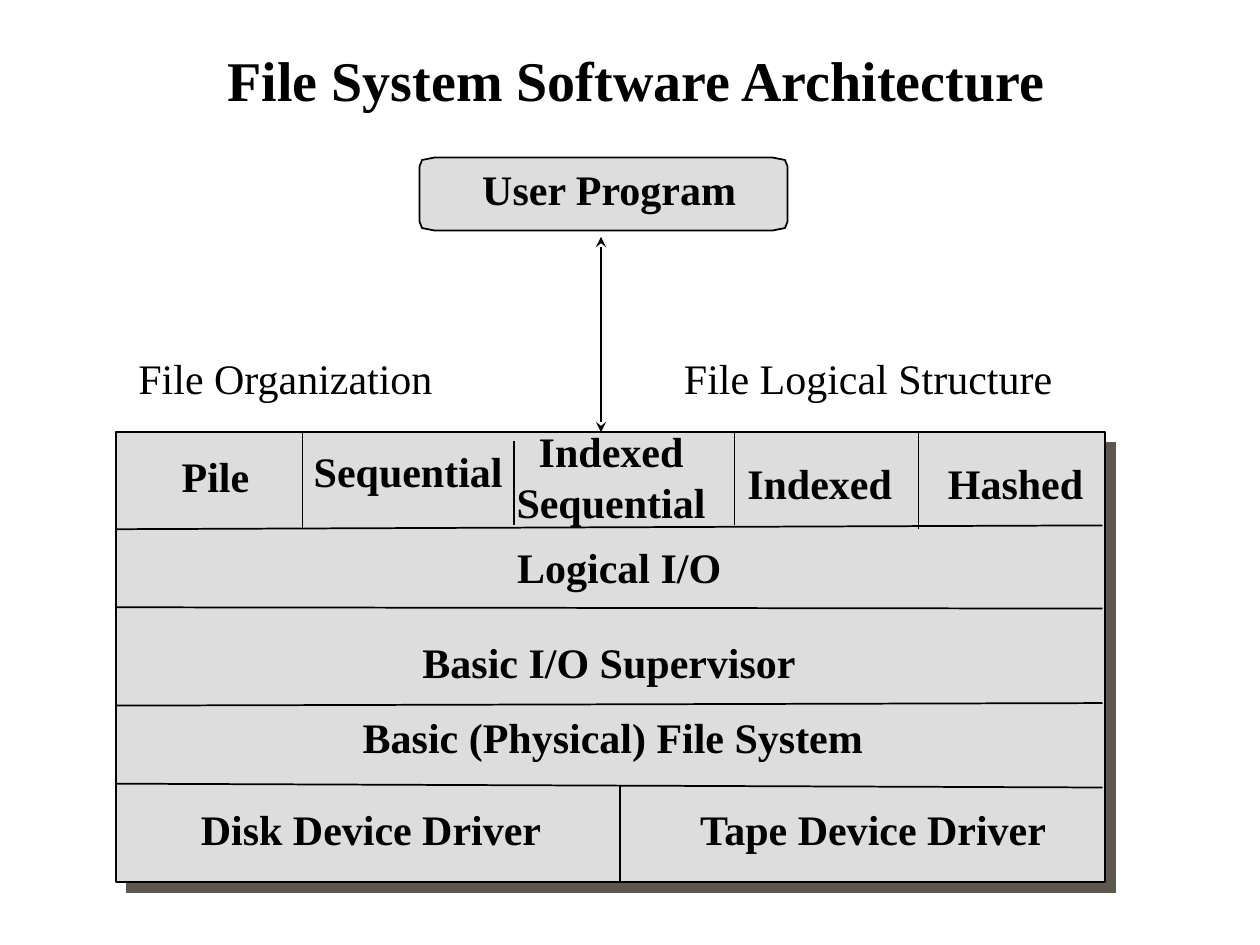
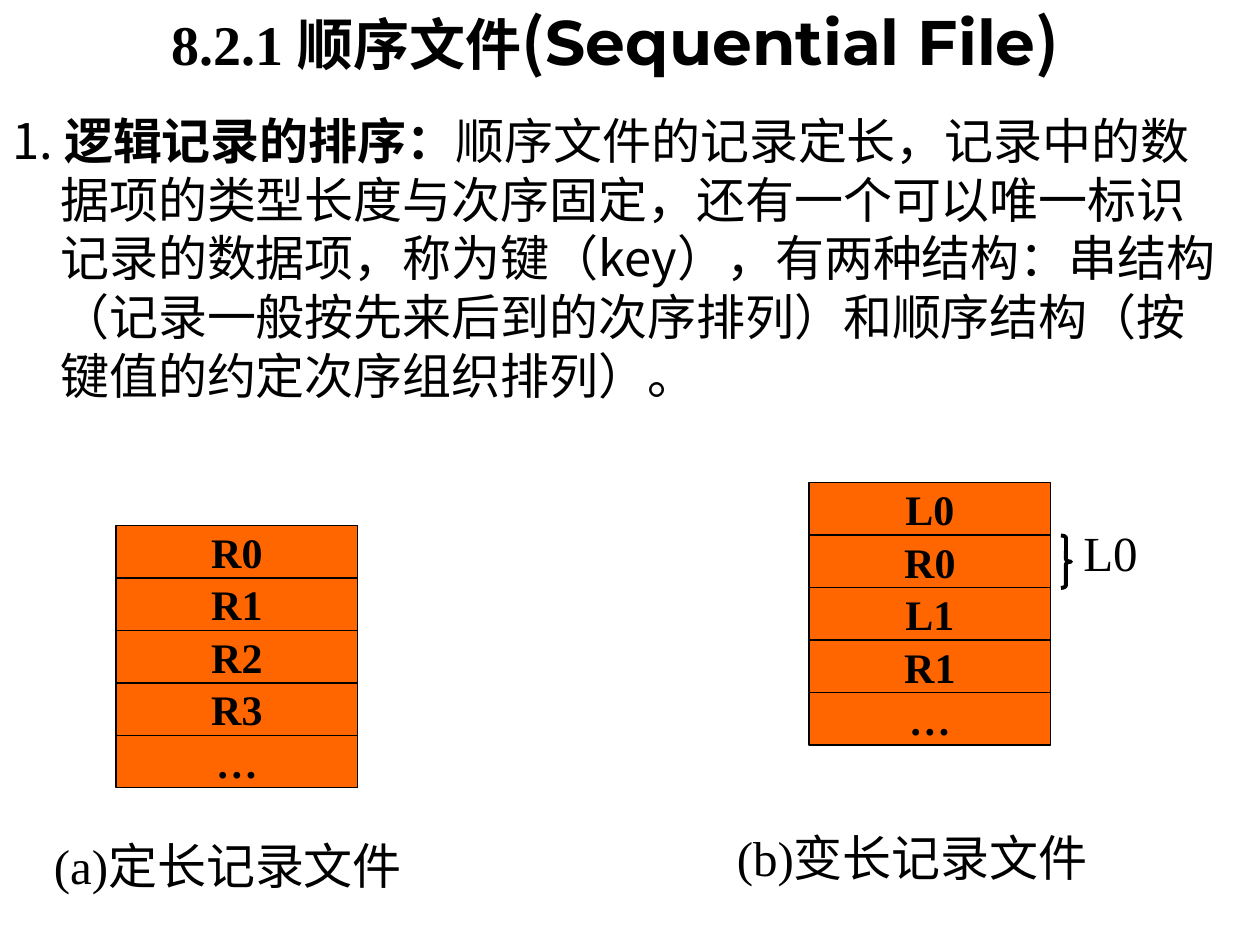
"""Build two slides on file system architecture and sequential files."""
from lxml import etree
from pptx import Presentation
from pptx.dml.color import RGBColor
from pptx.enum.shapes import MSO_CONNECTOR, MSO_SHAPE
from pptx.enum.text import MSO_ANCHOR, PP_ALIGN
from pptx.oxml.ns import qn
from pptx.util import Inches, Pt

BLACK = RGBColor(0x00, 0x00, 0x00)
WHITE = RGBColor(0xFF, 0xFF, 0xFF)
GREY = RGBColor(0xDD, 0xDD, 0xDD)
ORANGE = RGBColor(0xFF, 0x66, 0x00)
SHADE = "5E574E"
RECT, BRACE = MSO_SHAPE.RECTANGLE, MSO_SHAPE.RIGHT_BRACE
STRAIGHT = MSO_CONNECTOR.STRAIGHT
LEFT, CENTER = PP_ALIGN.LEFT, PP_ALIGN.CENTER
TOP, MIDDLE, BOTTOM = MSO_ANCHOR.TOP, MSO_ANCHOR.MIDDLE, MSO_ANCHOR.BOTTOM
TIMES, NOTO, MONT = "Times New Roman", "Noto Sans CJK SC", "Montserrat"

ARCH_TITLE = [("File System Software Architecture", 32, TIMES, True)]
HEADING = "File Organization\tFile Logical Structure"
USER = (3.33, 1.25, 2.92, 0.58)
CORNER = [(0.12, 0), (0.07, 0.01), (0.02, 0.02), (0, 0.07)]
STACK = (0.92, 3.43, 7.85, 3.57)
LAYERS = [(4.2, 4.17), (4.82, 4.83), (5.6, 5.58), (6.22, 6.25)]
WALLS = [(4.92, 6.23, 7, 1), (2.4, 3.43, 4.2, 1), (7.29, 3.43, 4.2, 1),
         (4.08, 3.5, 4.17, 0.75), (5.83, 3.42, 4.17, 0.75)]
LABELS = [
    ("User Program", 3.42, 1.25, 2.83),
    ("Pile", 1, 3.53, 1.42),
    ("Sequential", 2.39, 3.49, 1.7),
    ("Indexed\nSequential", 4, 3.33, 1.7),
    ("Indexed", 5.83, 3.58, 1.35),
    ("Hashed", 7.42, 3.58, 1.28),
    ("Logical I/O", 3.5, 4.25, 2.83),
    ("Basic I/O Supervisor", 3.25, 5, 3.17),
    ("Basic (Physical) File System", 2.78, 5.6, 4.17),
    ("Disk Device Driver", 1.49, 6.33, 2.91),
    ("Tape Device Driver", 5.44, 6.33, 2.98),
]

SEQ_TITLE = [("8.2.1 顺序文件", 32, TIMES, True), ("(", 36, NOTO, True),
             ("Sequential File", 36, MONT, True), (")", 36, NOTO, True)]
BODY = [
    ("1. ", 28, NOTO, False),
    ("逻辑记录的排序：", 28, NOTO, True),
    ("顺序文件的记录定长，记录中的数据项的类型长度与次序固定，"
     "还有一个可以唯一标识记录的数据项，称为键（key），有两种结构："
     "串结构（记录一般按先来后到的次序排列）和顺序结构"
     "（按键值的约定次序组织排列）。", 28, NOTO, False),
]
FILES = [(0.92, 4.17, ["R0", "R1", "R2", "R3", "…"]),
         (6.42, 3.83, ["L0", "R0", "L1", "R1", "…"])]
CELL_W, CELL_H = 1.92, 1.25 / 3
NOTES = [("(a)定长记录文件", 0.33, 6.58, 3.42),
         ("(b)变长记录文件", 5.75, 6.52, 3.42),
         ("L0", 8.5, 4.1, 0.75)]


def inch(*nums):
    """Turn numbers into lengths."""
    return [Inches(num) for num in nums]


def write(frame, paras, align=LEFT, anchor=TOP):
    """Fill a frame with paragraphs of (text, size, font, bold) runs."""
    frame.word_wrap = align == LEFT
    frame.vertical_anchor = anchor
    for i, runs in enumerate(paras):
        para = frame.add_paragraph() if i else frame.paragraphs[0]
        para.alignment = align
        for text, size, face, bold in runs:
            run = para.add_run()
            run.text = text
            font = run.font
            font.size, font.name, font.bold = Pt(size), face, bold
            font.color.rgb = BLACK
            east = etree.SubElement(run._r.get_or_add_rPr(), qn("a:ea"))
            east.set("typeface", NOTO)
    return frame.paragraphs[0]


def add_text(slide, box, paras, align=LEFT, anchor=TOP):
    """Add a text box and return its first paragraph."""
    frame = slide.shapes.add_textbox(*inch(*box)).text_frame
    return write(frame, paras, align, anchor)


def paint(shape, fill, width):
    """Set fill and black outline, without shadow."""
    shape.shadow.inherit = False
    if fill is None:
        shape.fill.background()
    else:
        shape.fill.solid()
        shape.fill.fore_color.rgb = fill
    shape.line.color.rgb = BLACK
    shape.line.width = Pt(width)
    return shape


def add_rect(slide, box, fill, width):
    """Add a painted rectangle."""
    return paint(slide.shapes.add_shape(RECT, *inch(*box)), fill, width)


def add_line(slide, ends, width=1, arrows=False):
    """Add a black line, with arrowheads at both ends if asked."""
    line = slide.shapes.add_connector(STRAIGHT, *inch(*ends))
    line.line.color.rgb = BLACK
    line.line.width = Pt(width)
    props = line._element.spPr
    if arrows:
        for tag in ("a:headEnd", "a:tailEnd"):
            etree.SubElement(props.find(qn("a:ln")), qn(tag)).set("type", "stealth")
    etree.SubElement(props, qn("a:effectLst"))


def cast(shape):
    """Give a shape a hard shadow to the lower right."""
    effects = shape._element.spPr.find(qn("a:effectLst"))
    shadow = etree.SubElement(effects, qn("a:outerShdw"), dist=str(Pt(8.5)),
                              dir="2700000", algn="ctr", rotWithShape="0")
    etree.SubElement(shadow, qn("a:srgbClr"), val=SHADE)


def add_user(slide):
    """Draw the user box with its clipped corners."""
    x, y, w, h = USER
    left = CORNER + [(dx, h - dy) for dx, dy in reversed(CORNER)]
    right = [(w - dx, dy) for dx, dy in reversed(left)]
    points = [tuple(inch(x + dx, y + dy)) for dx, dy in left + right]
    pen = slide.shapes.build_freeform(*points[0])
    pen.add_line_segments(points[1:], close=True)
    paint(pen.convert_to_shape(), GREY, 1)


def build_arch(slide):
    """Draw the layered architecture."""
    add_text(slide, (0.44, 0.25, 9.22, 0.75), [ARCH_TITLE], CENTER, MIDDLE)
    add_user(slide)
    cast(add_rect(slide, STACK, GREY, 1))
    for start, end in LAYERS:
        add_line(slide, (STACK[0], start, 8.75, end))
    for x, start, end, width in WALLS:
        add_line(slide, (x, start, x, end), width)
    add_line(slide, (4.77, 1.88, 4.77, 3.43), arrows=True)
    for text, x, y, w in LABELS:
        paras = [[(part, 24, TIMES, True)] for part in text.split("\n")]
        add_text(slide, (x, y, w, 0.5 * len(paras)), paras, CENTER)
    para = add_text(slide, (1, 2.75, 7.58, 0.5), [[(HEADING, 24, TIMES, False)]])
    tabs = etree.SubElement(para._p.get_or_add_pPr(), qn("a:tabLst"))
    etree.SubElement(tabs, qn("a:tab"), pos=str(Inches(4.33)), algn="l")


def build_seq(slide):
    """Draw the two record layouts under their description."""
    add_text(slide, (0.44, 0, 8.89, 0.67), [SEQ_TITLE], CENTER, BOTTOM)
    para = add_text(slide, (0, 0.83, 9.75, 2.58), [BODY])
    para.line_spacing = Pt(33.5)
    props = para._p.get_or_add_pPr()
    props.set("marL", str(Inches(0.38)))
    props.set("indent", str(Inches(-0.38)))
    for x, y, cells in FILES:
        for i, text in enumerate(cells):
            cell = add_rect(slide, (x, y + i * CELL_H, CELL_W, CELL_H), ORANGE, 0.75)
            write(cell.text_frame, [[(text, 24, TIMES, True)]], CENTER, MIDDLE)
    brace = slide.shapes.add_shape(BRACE, *inch(8.42, 4.25, 0.08, CELL_H))
    brace.adjustments[0] = 0.25
    paint(brace, None, 2.25)
    for text, x, y, w in NOTES:
        add_text(slide, (x, y, w, 0.57), [[(text, 28, TIMES, False)]])


def main():
    """Build and save the slides."""
    deck = Presentation()
    deck.slide_width, deck.slide_height = inch(10, 7.5)
    for build in (build_arch, build_seq):
        slide = deck.slides.add_slide(deck.slide_layouts[6])
        slide.background.fill.solid()
        slide.background.fill.fore_color.rgb = WHITE
        build(slide)
    deck.save("out.pptx")


if __name__ == "__main__":
    main()
